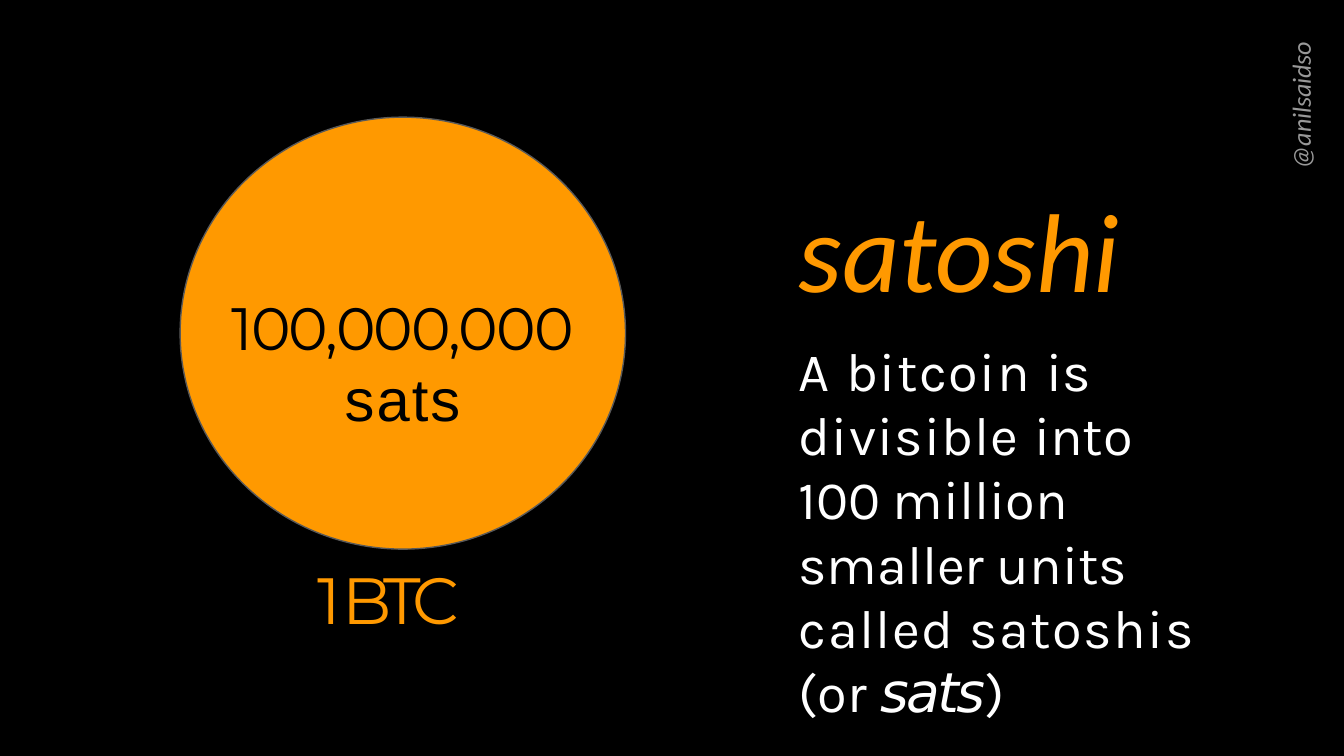
from pptx import Presentation
from pptx.dml.color import RGBColor
from pptx.enum import shapes, text
from pptx.util import Pt

BLACK = RGBColor(0x00, 0x00, 0x00)
WHITE = RGBColor(0xFF, 0xFF, 0xFF)
ORANGE = RGBColor(0xFF, 0x99, 0x00)
GREY = RGBColor(0x99, 0x99, 0x99)
EDGE = RGBColor(0x59, 0x59, 0x59)


def setup(frame, top, wrap=True):
    """Set the insets and anchor of a text frame."""
    form = dict(margin_left=0, margin_top=Pt(top),
                margin_right=0, margin_bottom=0, word_wrap=wrap,
                auto_size=text.MSO_AUTO_SIZE.NONE,
                vertical_anchor=text.MSO_ANCHOR.TOP)
    for name, value in form.items():
        setattr(frame, name, value)


def write(para, words, face, size, color, gap=0, slant=False):
    """Add a run; gap is the letter spacing in points."""
    run = para.add_run()
    run.text = words
    form = dict(name=face, size=Pt(size), italic=slant, bold=False)
    for name, value in form.items():
        setattr(run.font, name, value)
    run.font.color.rgb = color
    run.font._element.set("spc", str(round(gap * 100)))


deck = Presentation()
deck.slide_width, deck.slide_height = Pt(720), Pt(405)
slide = deck.slides.add_slide(deck.slide_layouts[5])

# Black ground, behind the title
ground = slide.shapes.add_shape(shapes.MSO_SHAPE.RECTANGLE, 0, 0,
                                deck.slide_width, deck.slide_height)
ground.shadow.inherit = False
ground.fill.solid()
ground.fill.fore_color.rgb = BLACK
ground.line.fill.background()
slide.shapes._spTree.insert(2, ground._element)

# Title
title = slide.shapes.title
place = dict(left=Pt(427.9), top=Pt(95.8), width=Pt(175.7), height=Pt(74.2))
for name, value in place.items():
    setattr(title, name, value)
setup(title.text_frame, 0.7)
para = title.text_frame.paragraphs[0]
para.alignment = text.PP_ALIGN.LEFT
write(para, "satoshi", "Calibri", 60, ORANGE, -0.1, True)

# Definition
box = slide.shapes.add_textbox(Pt(427.9), Pt(178.6), Pt(229), Pt(175))
setup(box.text_frame, 2.2)
para = box.text_frame.paragraphs[0]
para.line_spacing = Pt(34.5)
for words, gap in [("A ", 1), ("bitcoin ", 0.8), ("is ", 0.2),
                   ("divisible ", 0.6), ("into ", 0), ("100 ", -0.2),
                   ("million ", 0), ("smaller ", -0.1), ("units ", 0),
                   ("called satoshis ", 0.8), ("(or ", 0)]:
    write(para, words, "Karla", 29, WHITE, gap)
write(para, "sats", "DejaVu Sans", 29.5, WHITE, -1.4, True)
write(para, ")", "Karla", 29, WHITE, -1.4)

# Author handle, reading upwards
box = slide.shapes.add_textbox(Pt(688.3), Pt(17.3), Pt(19.4), Pt(73.4))
setup(box.text_frame, 0)
box.text_frame._txBody.bodyPr.set("vert", "vert270")
para = box.text_frame.paragraphs[0]
write(para, "@anilsaidso", "Calibri", 14, GREY, -0.1, True)

# Coin
coin = slide.shapes.add_shape(shapes.MSO_SHAPE.OVAL,
                              Pt(96.5), Pt(62.8), Pt(238.6), Pt(231.4))
coin.shadow.inherit = False
coin.fill.solid()
coin.fill.fore_color.rgb = ORANGE
coin.line.color.rgb = EDGE
coin.line.width = Pt(0.75)

# Coin caption
box = slide.shapes.add_textbox(Pt(170.2), Pt(298.8), Pt(92.9), Pt(43.9))
setup(box.text_frame, 0.7, False)
para = box.text_frame.paragraphs[0]
write(para, "1 BTC", "Montserrat", 35, ORANGE, -4.2)

# Amount on the coin
box = slide.shapes.add_textbox(Pt(113.8), Pt(154.8), Pt(203.8), Pt(78.5))
setup(box.text_frame, 0.7)
frame = box.text_frame
for para, words, face, gap in [
        (frame.paragraphs[0], "100,000,000", "Montserrat", -1),
        (frame.add_paragraph(), "sats", "Arial", 1.1)]:
    para.alignment = text.PP_ALIGN.CENTER
    write(para, words, face, 32, BLACK, gap)

deck.save("out.pptx")
